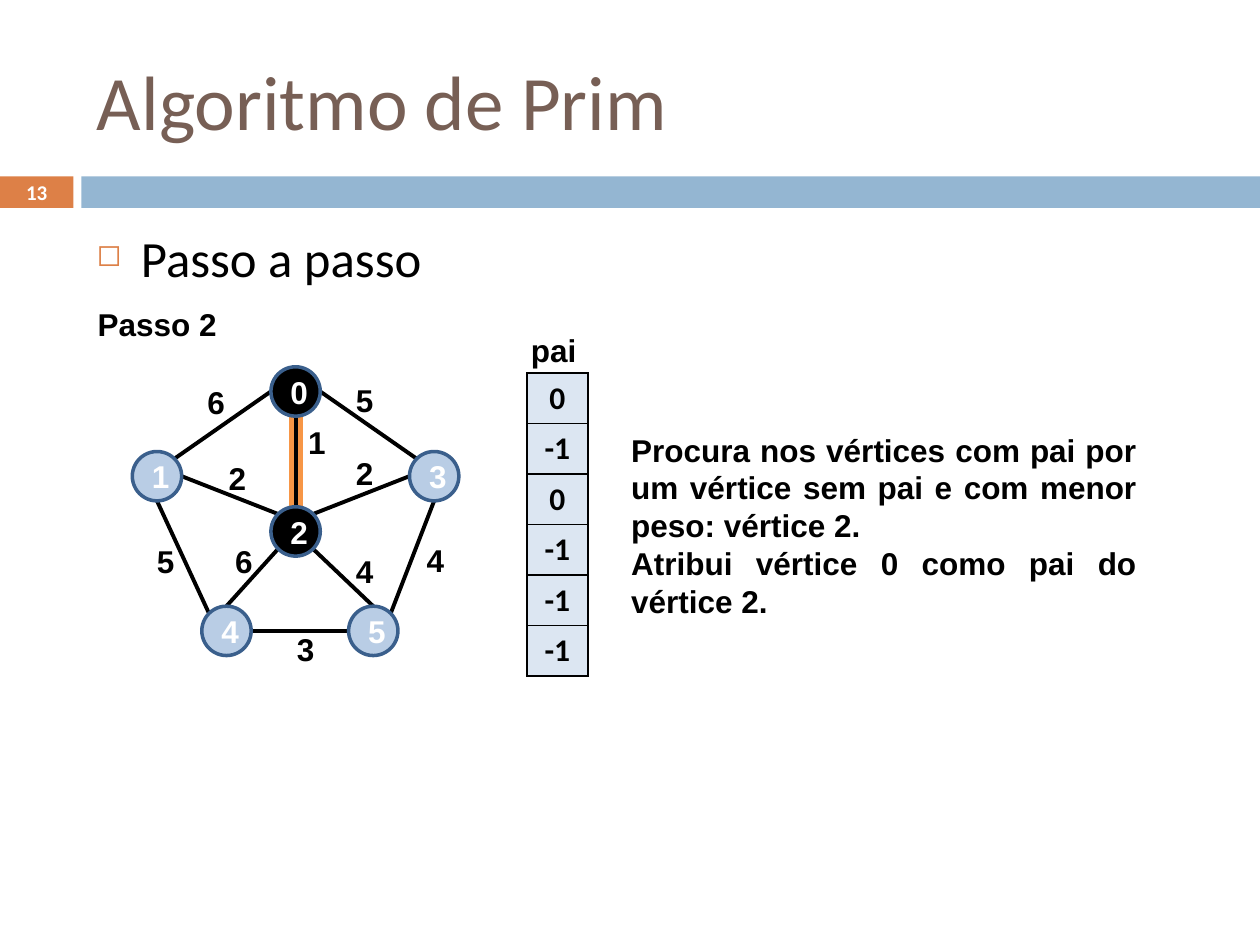
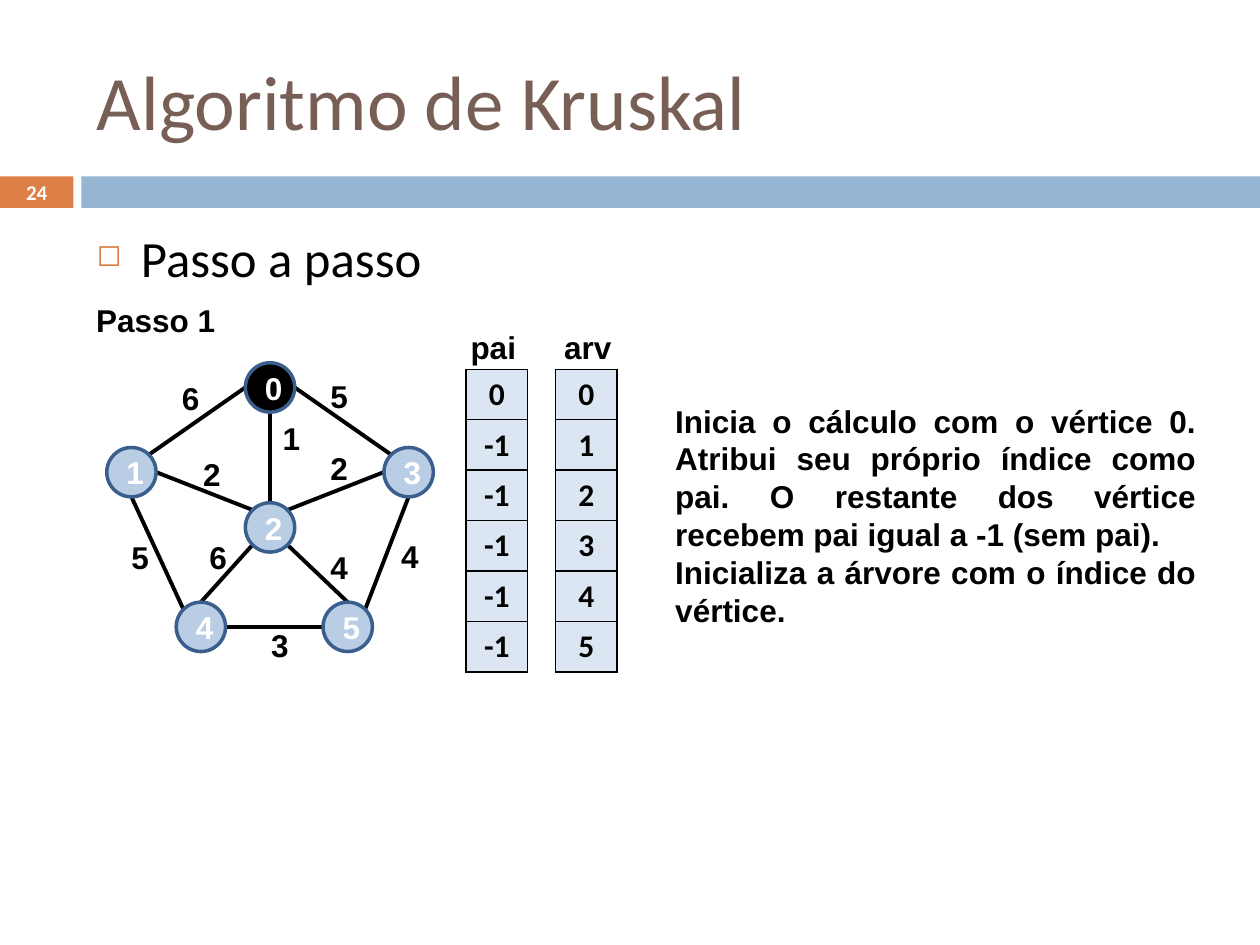
"""Two slides on minimum spanning trees: one step of Prim and one of Kruskal."""
from math import cos, radians, sin

from lxml.etree import SubElement
from pptx import Presentation
from pptx.dml.color import RGBColor
from pptx.enum.shapes import MSO_CONNECTOR, MSO_SHAPE
from pptx.enum.text import MSO_ANCHOR, MSO_AUTO_SIZE, PP_ALIGN
from pptx.oxml import parse_xml
from pptx.oxml.ns import nsdecls, qn
from pptx.util import Pt

BLACK = RGBColor(0x00, 0x00, 0x00)
WHITE = RGBColor(0xFF, 0xFF, 0xFF)
BROWN = RGBColor(0x77, 0x5F, 0x55)
ORANGE = RGBColor(0xDD, 0x80, 0x47)
BAND_BLUE = RGBColor(0x94, 0xB6, 0xD2)
NODE_BLUE = RGBColor(0xB9, 0xCD, 0xE5)
NODE_LINE = RGBColor(0x3A, 0x5F, 0x8C)
CELL_BLUE = RGBColor(0xDC, 0xE6, 0xF2)
TREE_ORANGE = RGBColor(0xF7, 0x96, 0x46)

SLIDES = [
    dict(
        title="Algoritmo de Prim", number="13",
        step=("Passo 2", 39, 170.8), graph=(75.6, 209.6), visited={0, 2}, tree=[(0, 2)],
        columns=[("pai", 316.4, 301, ["0", "-1", "0", "-1", "-1", "-1"])], table_top=213.2,
        note=(353.6, 242.6, 303, 117),
        lines=["Procura nos vértices com pai por um vértice sem pai e com menor peso: vértice 2.",
               "Atribui vértice 0 como pai do vértice 2."],
    ),
    dict(
        title="Algoritmo de Kruskal", number="24",
        step=("Passo 1", 38.2, 168.5), graph=(61, 207.3), visited={0}, tree=[],
        columns=[("pai", 281.9, 266.4, ["0", "-1", "-1", "-1", "-1", "-1"]),
                 ("arv", 335.9, 317.5, ["0", "1", "2", "3", "4", "5"])], table_top=211,
        note=(378.8, 226, 311.8, 138.4),
        lines=["Inicia o cálculo com o vértice 0. Atribui seu próprio índice como pai. "
               "O restante dos vértice recebem pai igual a -1 (sem pai).",
               "Inicializa a árvore com o índice do vértice."],
    ),
]

NODE_SIZE = 28.2
NODES = [(79.2, 0), (0, 48.4), (79.2, 80), (158.4, 48.4), (39.7, 136.8), (123.6, 136.8)]
ANGLES = {"R": 0, "BR": 45, "B": 90, "BL": 135, "L": 180, "TL": 225, "T": 270, "TR": 315}
EDGES = [
    (0, "R", 3, "TL", "5", 132.8, 4.3),
    (0, "L", 1, "TR", "6", 47.9, 5.8),
    (1, "R", 2, "TL", "2", 60.1, 49),
    (0, "B", 2, "T", "1", 105.5, 28.8),
    (3, "L", 2, "TR", "2", 132.8, 46),
    (3, "B", 5, "TR", "4", 173.2, 95.8),
    (2, "BR", 5, "T", "4", 132.8, 102.2),
    (5, "L", 4, "R", "3", 99, 146.9),
    (2, "BL", 4, "T", "6", 63.7, 96.5),
    (1, "B", 4, "TL", "5", 19.1, 96.5),
]
COL_W, ROW_H = 35, 28.8
LABEL_H = 29


def add_run(p, text, size=18, color=BLACK, font="Arial", bold=True, align=PP_ALIGN.CENTER):
    """Add one formatted run to a paragraph."""
    p.alignment = align
    r = p.add_run()
    r.text = text
    r.font.name, r.font.size, r.font.bold = font, Pt(size), bold
    r.font.color.rgb = color


def add_box(shapes, x, y, w, h, grow=True):
    """Add a wrapping text box and return its text frame."""
    tf = shapes.add_textbox(Pt(x), Pt(y), Pt(w), Pt(h)).text_frame
    tf.word_wrap = True
    if grow:
        tf.auto_size = MSO_AUTO_SIZE.SHAPE_TO_FIT_TEXT
    return tf


def add_label(shapes, text, center, y, w):
    """Add a one-line label centred on a given abscissa."""
    add_run(add_box(shapes, center - w / 2, y, w, LABEL_H).paragraphs[0], text)


def add_filled(shapes, kind, x, y, w, h, fill, line=None):
    """Add a preset shape with a flat fill and an optional outline."""
    sp = shapes.add_shape(kind, Pt(x), Pt(y), Pt(w), Pt(h))
    sp.shadow.inherit = False
    sp.fill.solid()
    sp.fill.fore_color.rgb = fill
    if line is None:
        sp.line.fill.background()
    else:
        sp.line.color.rgb, sp.line.width = line, Pt(2)
    return sp


def add_frame(s, title, number):
    """Add what both slides share: title, bands, number and bullet."""
    sp = s.shapes.title
    sp.left, sp.top, sp.width, sp.height = Pt(48.2), Pt(18), Pt(642.2), Pt(77.8)
    sp.text_frame.vertical_anchor = MSO_ANCHOR.MIDDLE
    add_run(sp.text_frame.paragraphs[0], title, 44, BROWN, "Calibri", False, PP_ALIGN.LEFT)

    add_filled(s.shapes, MSO_SHAPE.RECTANGLE, 0, 100.8, 42, 18, ORANGE)
    add_filled(s.shapes, MSO_SHAPE.RECTANGLE, 46.5, 100.8, 673.5, 18, BAND_BLUE)
    tf = add_box(s.shapes, 0, 100, 42, 19.5, grow=False)
    tf.margin_top = tf.margin_bottom = 0
    tf.vertical_anchor = MSO_ANCHOR.MIDDLE
    add_run(tf.paragraphs[0], number, 12, WHITE, "Calibri")

    p = add_box(s.shapes, 48.2, 126, 642.2, 354, grow=False).paragraphs[0]
    pPr = p._p.get_or_add_pPr()
    pPr.set("marL", str(Pt(25.2)))
    pPr.set("indent", str(-Pt(25.2)))
    SubElement(SubElement(pPr, qn("a:buClr")), qn("a:srgbClr"), val=str(ORANGE))
    SubElement(pPr, qn("a:buSzPct"), val="60000")
    SubElement(pPr, qn("a:buChar"), char="◻")
    add_run(p, "Passo a passo", 29, BLACK, "Calibri", False, PP_ALIGN.LEFT)


def add_graph(s, origin, visited, tree):
    """Draw the weighted graph, marking visited nodes and tree edges."""
    shapes = s.shapes.add_group_shape().shapes
    ox, oy = origin
    radius = NODE_SIZE / 2

    def site(node, side):
        x, y = NODES[node]
        angle = radians(ANGLES[side])
        return (Pt(ox + x + radius + radius * cos(angle)),
                Pt(oy + y + radius + radius * sin(angle)))

    def add_edge(a, side_a, b, side_b, color, width):
        cx = shapes.add_connector(MSO_CONNECTOR.STRAIGHT, *site(a, side_a), *site(b, side_b))
        cx.line.color.rgb, cx.line.width = color, Pt(width)
        SubElement(cx._element.spPr, qn("a:effectLst"))

    for a, side_a, b, side_b, weight, x, y in EDGES:
        if (a, b) in tree:
            add_edge(a, side_a, b, side_b, TREE_ORANGE, 8)
        add_edge(a, side_a, b, side_b, BLACK, 2.25)
    for i, (x, y) in enumerate(NODES):
        fill = BLACK if i in visited else NODE_BLUE
        sp = add_filled(shapes, MSO_SHAPE.OVAL, ox + x, oy + y, NODE_SIZE, NODE_SIZE,
                        fill, NODE_LINE)
        sp.text_frame.vertical_anchor = MSO_ANCHOR.MIDDLE
        add_run(sp.text_frame.paragraphs[0], str(i), color=WHITE)
    for *_, weight, x, y in EDGES:
        add_label(shapes, weight, ox + x, oy + y, 96)


def add_column(s, name, center, x, y, values):
    """Add a one-column table under its label."""
    add_label(s.shapes, name, center, y - 27.4, 62)
    tbl = s.shapes.add_table(len(values), 1, Pt(x), Pt(y), Pt(COL_W),
                             Pt(ROW_H * len(values))).table
    tbl.first_row = tbl.horz_banding = False
    for row, value in zip(tbl.rows, values):
        cell = row.cells[0]
        cell.fill.solid()
        cell.fill.fore_color.rgb = CELL_BLUE
        add_run(cell.text_frame.paragraphs[0], value, font="Calibri")
        tcPr = cell._tc.get_or_add_tcPr()
        for i, side in enumerate("LRTB"):
            tcPr.insert(i, parse_xml(
                f'<a:ln{side} {nsdecls("a")} w="{Pt(1)}"><a:solidFill>'
                f'<a:srgbClr val="{BLACK}"/></a:solidFill></a:ln{side}>'))


def add_note(s, place, lines):
    """Add the justified explanation of the step."""
    tf = add_box(s.shapes, *place)
    for i, line in enumerate(lines):
        p = tf.add_paragraph() if i else tf.paragraphs[0]
        add_run(p, line, align=PP_ALIGN.JUSTIFY)


def main():
    """Build and save the slides."""
    prs = Presentation()
    prs.slide_width, prs.slide_height = Pt(720), Pt(540)
    for data in SLIDES:
        s = prs.slides.add_slide(prs.slide_layouts[5])
        add_frame(s, data["title"], data["number"])
        add_graph(s, data["graph"], data["visited"], data["tree"])
        for name, center, x, values in data["columns"]:
            add_column(s, name, center, x, data["table_top"], values)
        text, x, y = data["step"]
        add_label(s.shapes, text, x + 50.8, y, 101.6)
        add_note(s, data["note"], data["lines"])
    prs.save("out.pptx")


if __name__ == "__main__":
    main()
